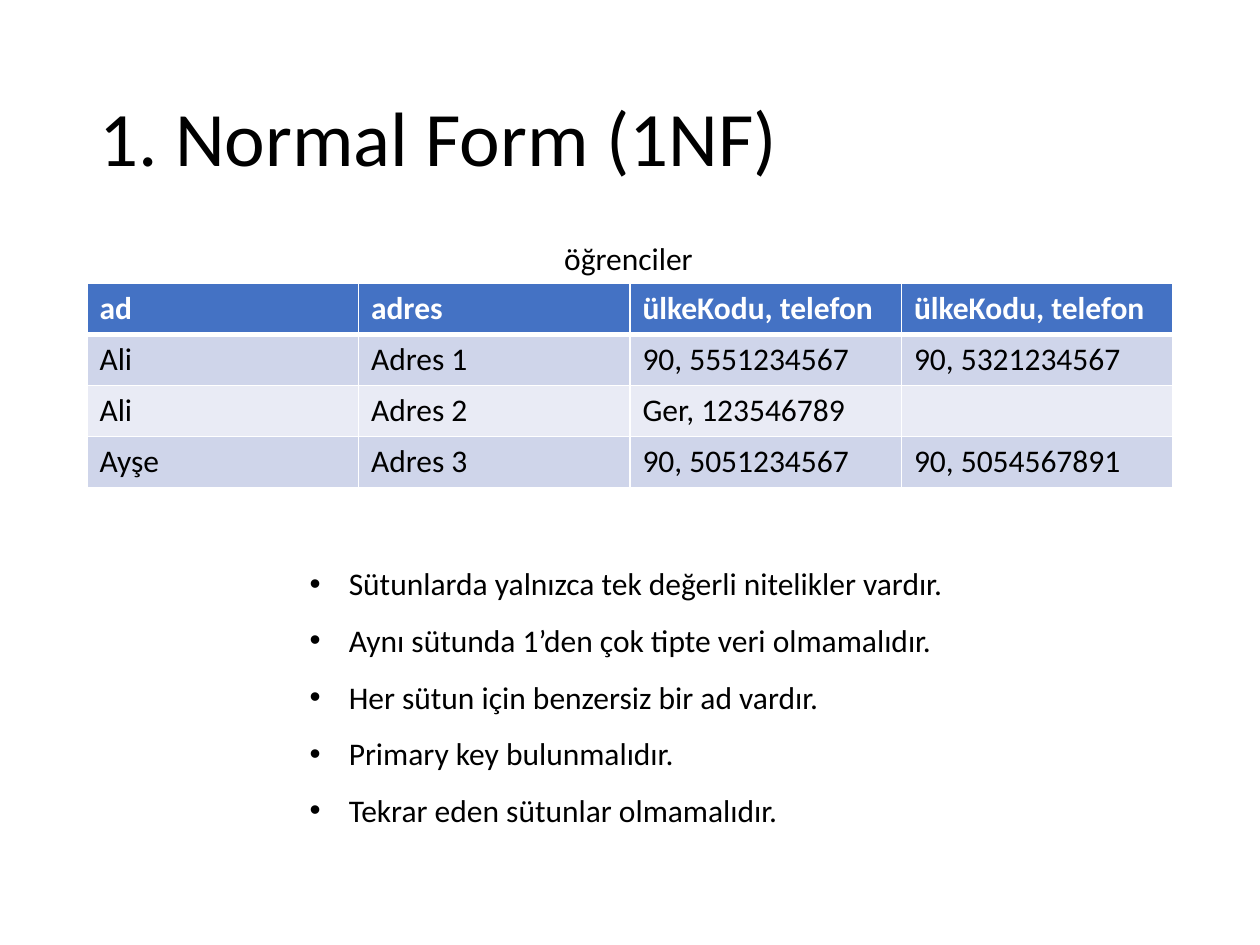
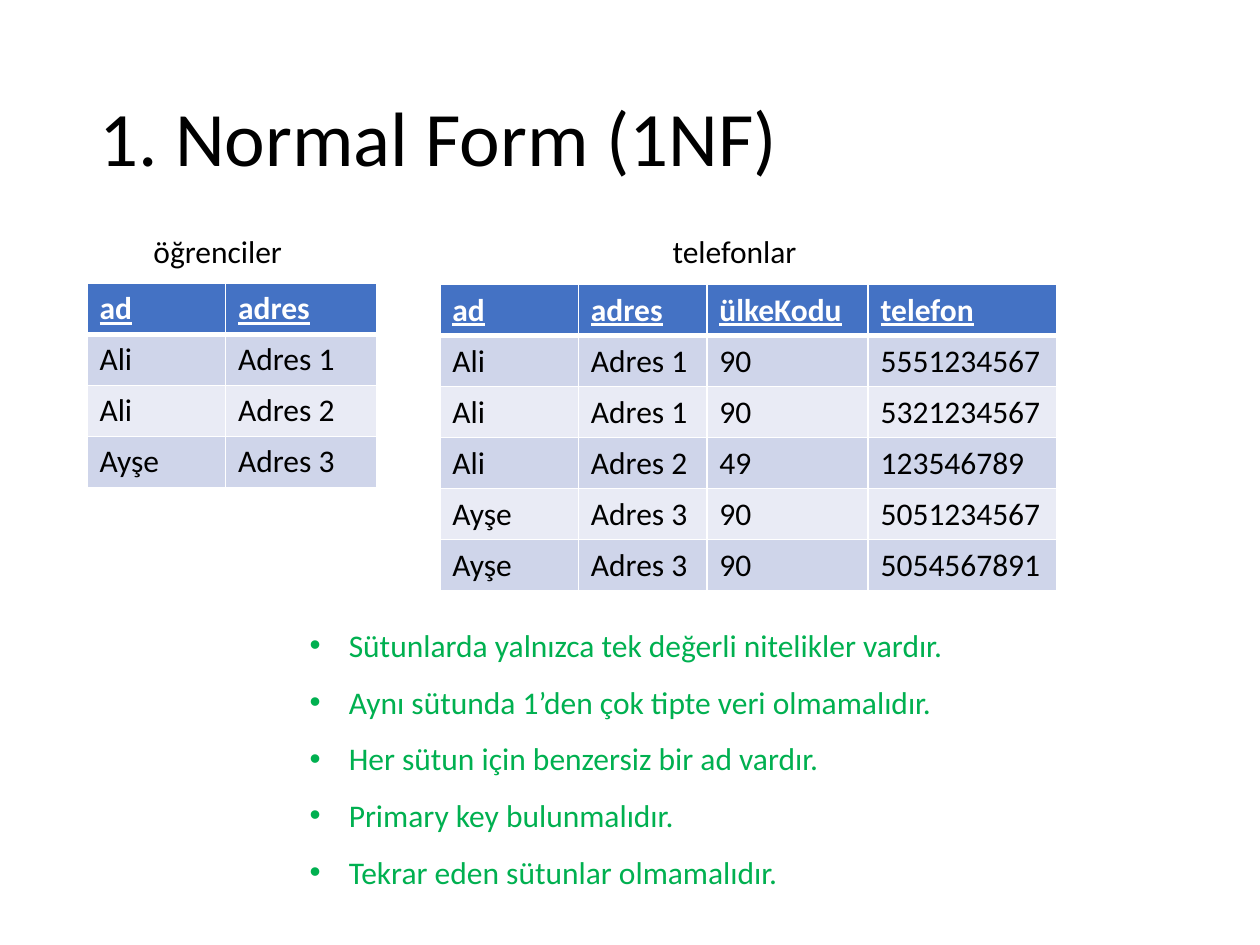
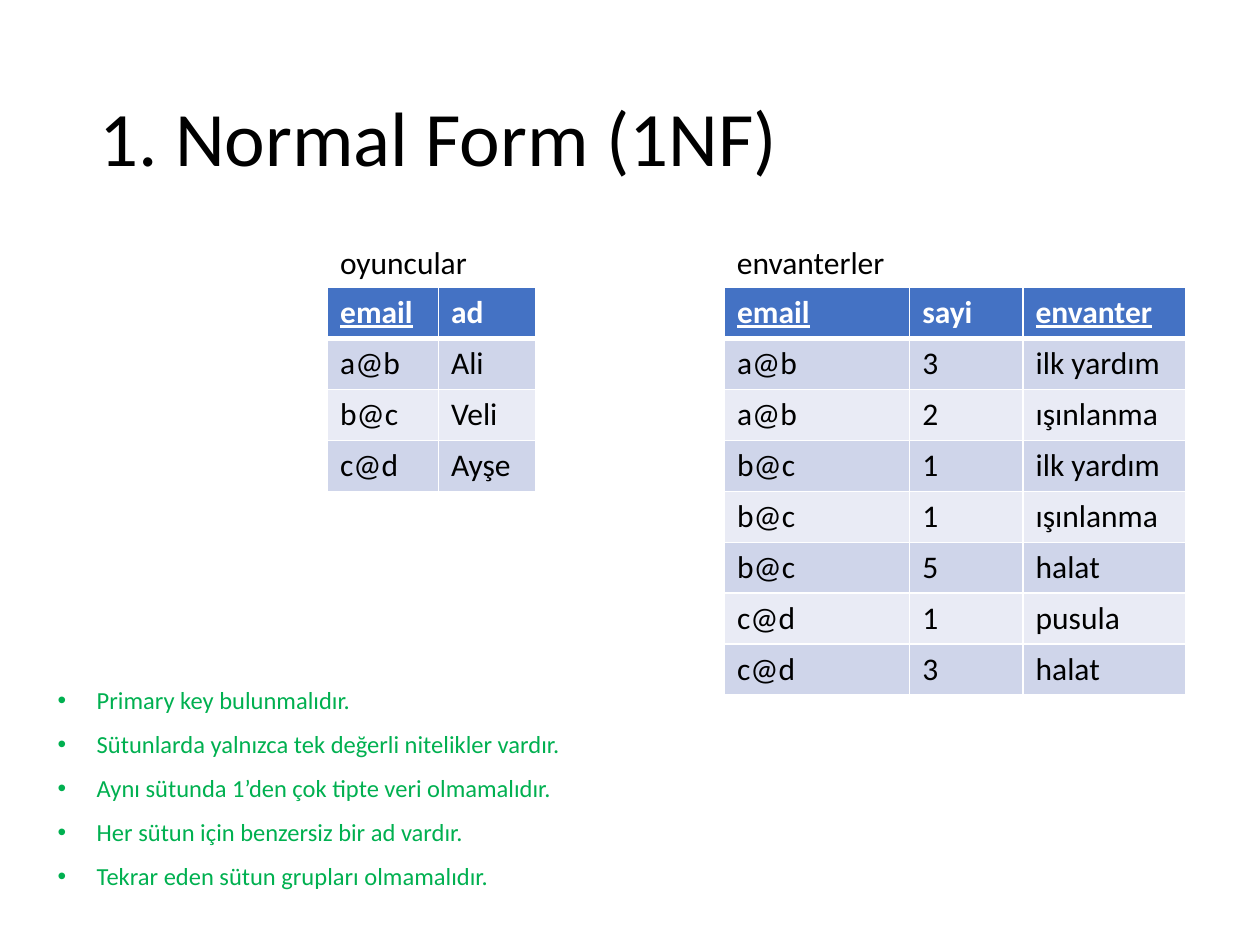
from lxml import etree
from pptx import Presentation
from pptx.dml.color import RGBColor
from pptx.enum import text
from pptx.oxml import ns
from pptx.util import Inches, Pt

BLACK = RGBColor(0x00, 0x00, 0x00)
WHITE = RGBColor(0xFF, 0xFF, 0xFF)
GREEN = RGBColor(0x00, 0xB0, 0x50)
HEADER_BLUE = RGBColor(0x44, 0x72, 0xC4)
BAND_DARK = RGBColor(0xCF, 0xD5, 0xEA)
BAND_LIGHT = RGBColor(0xE9, 0xEB, 0xF5)

FONT = "Calibri"
TITLE = "1. Normal Form (1NF)"
ROW_HEIGHT = Inches(1.62) // 4
LABEL_HEIGHT = 0.4

SINGLE_VALUES = "Sütunlarda yalnızca tek değerli nitelikler vardır."
SINGLE_TYPE = "Aynı sütunda 1’den çok tipte veri olmamalıdır."
UNIQUE_NAMES = "Her sütun için benzersiz bir ad vardır."
PRIMARY_KEY = "Primary key bulunmalıdır."
NO_REPEATS = "Tekrar eden sütunlar olmamalıdır."
NO_REPEATED_GROUPS = "Tekrar eden sütun grupları olmamalıdır."
RULES = [SINGLE_VALUES, SINGLE_TYPE, UNIQUE_NAMES, PRIMARY_KEY, NO_REPEATS]
ORDERED_RULES = [PRIMARY_KEY, SINGLE_VALUES, SINGLE_TYPE, UNIQUE_NAMES,
                 NO_REPEATED_GROUPS]


def style_font(para, size, color, bold=False, underline=False):
    font = para.font
    font.name = FONT
    font.size = Pt(size)
    font.color.rgb = color
    font.bold = bold
    font.underline = underline


def add_box(page, left, top, width, height):
    box = page.shapes.add_textbox(
        Inches(left), Inches(top), Inches(width), Inches(height))
    return box.text_frame


def add_title(page):
    frame = add_box(page, 0.69, 0.4, 8.62, 1.45)
    frame.word_wrap = True
    frame.vertical_anchor = text.MSO_ANCHOR.MIDDLE
    para = frame.paragraphs[0]
    para.text = TITLE
    para.line_spacing = 0.9
    style_font(para, 44, BLACK)


def add_growing_box(page, left, top, width, height):
    frame = add_box(page, left, top, width, height)
    frame.word_wrap = False
    frame.auto_size = text.MSO_AUTO_SIZE.SHAPE_TO_FIT_TEXT
    return frame


def add_label(page, left, top, width, name):
    frame = add_growing_box(page, left, top, width, LABEL_HEIGHT)
    para = frame.paragraphs[0]
    para.text = name
    style_font(para, 18, BLACK)


def add_bullet(para):
    props = para._p.get_or_add_pPr()
    props.set("marL", str(Inches(0.31)))
    props.set("indent", str(-Inches(0.31)))
    etree.SubElement(props, ns.qn("a:buFont"), typeface="Arial")
    etree.SubElement(props, ns.qn("a:buChar"), char="•")


def add_rules(page, left, top, width, height, rules, size, color):
    frame = add_growing_box(page, left, top, width, height)
    for index, rule in enumerate(rules):
        para = frame.add_paragraph() if index else frame.paragraphs[0]
        para.text = rule
        para.line_spacing = 1.5
        add_bullet(para)
        style_font(para, size, color)


def add_borders(cell, row_index):
    props = cell._tc.get_or_add_tcPr()
    widths = {
        "lnL": 1,
        "lnR": 1,
        "lnT": 3 if row_index == 1 else 1,
        "lnB": 3 if row_index == 0 else 1,
    }
    for side, width in widths.items():
        line = etree.SubElement(props, ns.qn(f"a:{side}"), w=str(Pt(width)))
        fill = etree.SubElement(line, ns.qn("a:solidFill"))
        etree.SubElement(fill, ns.qn("a:srgbClr"), val=str(WHITE))


def add_data_table(page, left, top, widths, rows, keys=()):
    grid = page.shapes.add_table(
        len(rows), len(widths), Inches(left), Inches(top),
        Inches(sum(widths)), ROW_HEIGHT * len(rows)).table
    for column, width in zip(grid.columns, widths):
        column.width = Inches(width)
    for row_index, values in enumerate(rows):
        is_header = row_index == 0
        band = BAND_DARK if row_index % 2 else BAND_LIGHT
        for column_index, value in enumerate(values):
            cell = grid.cell(row_index, column_index)
            add_borders(cell, row_index)
            cell.fill.solid()
            cell.fill.fore_color.rgb = HEADER_BLUE if is_header else band
            para = cell.text_frame.paragraphs[0]
            para.text = value
            style_font(para, 18, WHITE if is_header else BLACK,
                       is_header, is_header and value in keys)


def add_page(deck):
    page = deck.slides.add_slide(deck.slide_layouts[6])
    add_title(page)
    return page


def build_unnormalized(deck):
    page = add_page(deck)
    add_data_table(page, 0.69, 2.25, [8.62 / 4] * 4, [
        ["ad", "adres", "ülkeKodu, telefon", "ülkeKodu, telefon"],
        ["Ali", "Adres 1", "90, 5551234567", "90, 5321234567"],
        ["Ali", "Adres 2", "Ger, 123546789", ""],
        ["Ayşe", "Adres 3", "90, 5051234567", "90, 5054567891"],
    ])
    add_label(page, 4.38, 1.85, 1.23, "öğrenciler")
    add_rules(page, 2.36, 4.28, 5.28, 2.33, RULES, 18, BLACK)


def build_students_and_phones(deck):
    page = add_page(deck)
    keys = {"ad", "adres", "ülkeKodu", "telefon"}
    add_data_table(page, 0.69, 2.25, [1.1, 1.2], [
        ["ad", "adres"],
        ["Ali", "Adres 1"],
        ["Ali", "Adres 2"],
        ["Ayşe", "Adres 3"],
    ], keys)
    add_label(page, 1.12, 1.79, 1.23, "öğrenciler")
    add_rules(page, 2.36, 4.77, 5.28, 2.33, RULES, 18, GREEN)
    add_data_table(page, 3.49, 2.26, [1.1, 1.02, 1.28, 1.5], [
        ["ad", "adres", "ülkeKodu", "telefon"],
        ["Ali", "Adres 1", "90", "5551234567"],
        ["Ali", "Adres 1", "90", "5321234567"],
        ["Ali", "Adres 2", "49", "123546789"],
        ["Ayşe", "Adres 3", "90", "5051234567"],
        ["Ayşe", "Adres 3", "90", "5054567891"],
    ], keys)
    add_label(page, 5.24, 1.79, 1.2, "telefonlar")


def build_players_and_inventories(deck):
    page = add_page(deck)
    keys = {"email", "envanter"}
    add_data_table(page, 2.6, 2.28, [0.88, 0.77], [
        ["email", "ad"],
        ["a@b", "Ali"],
        ["b@c", "Veli"],
        ["c@d", "Ayşe"],
    ], keys)
    add_label(page, 2.6, 1.88, 1.22, "oyuncular")
    add_rules(page, 0.36, 5.27, 4.23, 1.83, ORDERED_RULES, 14, GREEN)
    add_data_table(page, 5.75, 2.28, [1.47, 0.9, 1.29], [
        ["email", "sayi", "envanter"],
        ["a@b", "3", "ilk yardım"],
        ["a@b", "2", "ışınlanma"],
        ["b@c", "1", "ilk yardım"],
        ["b@c", "1", "ışınlanma"],
        ["b@c", "5", "halat"],
        ["c@d", "1", "pusula"],
        ["c@d", "3", "halat"],
    ], keys)
    add_label(page, 5.75, 1.88, 1.39, "envanterler")


def main():
    deck = Presentation()
    deck.slide_width = Inches(10)
    deck.slide_height = Inches(7.5)
    build_unnormalized(deck)
    build_students_and_phones(deck)
    build_players_and_inventories(deck)
    deck.save("out.pptx")


if __name__ == "__main__":
    main()
